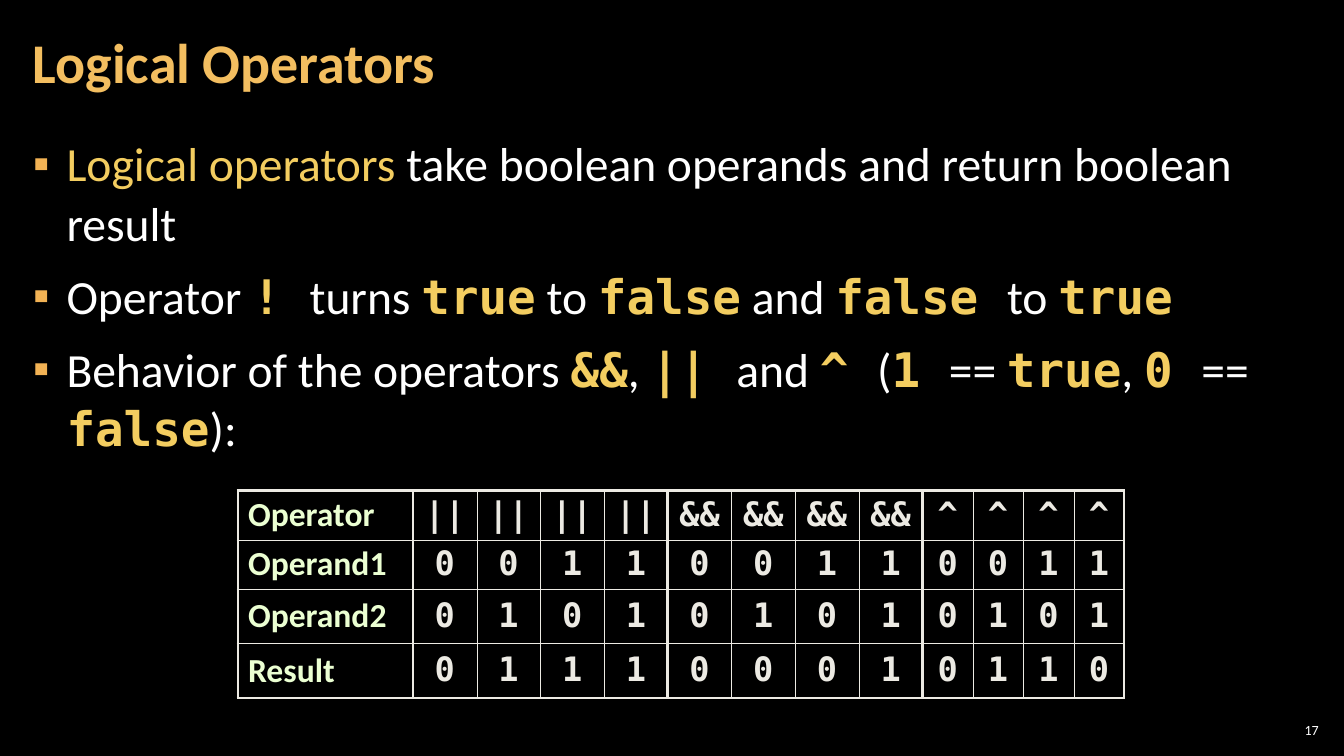
import pptx
import pptx.dml.color
import pptx.enum.text
import pptx.oxml.ns
import pptx.util
from lxml import etree

Pt = pptx.util.Pt
RGBColor = pptx.dml.color.RGBColor
PP_ALIGN = pptx.enum.text.PP_ALIGN
MIDDLE = pptx.enum.text.MSO_ANCHOR.MIDDLE
qn = pptx.oxml.ns.qn

COLORS = {
    "background": "000000",
    "text": "FFFFFF",
    "title": "F3BE60",
    "highlight": "F3CD60",
    "bullet": "F2B254",
    "label": "EBFFD2",
    "grid": "ECEAE3",
}
SANS, MONO = "Calibri", "DejaVu Sans Mono"

# Text between backticks is highlighted in the font named beside it.
BULLETS = [
    (SANS, "`Logical operators `take boolean operands and return boolean result"),
    (MONO, "Operator `! `turns `true` to `false` and `false `to `true`"),
    (MONO, "Behavior of the operators `&&`, `|| `and `^ `(`1 `== `true`, `0 `== `false`):"),
]
TRUTH_TABLE = [
    ["Operator"] + ["||"] * 4 + ["&&"] * 4 + ["^"] * 4,
    ["Operand1", *"0011" * 3],
    ["Operand2", *"0101" * 3],
    ["Result", *"0111", *"0001", *"0110"],
]
COLUMN_WIDTHS = [125] + [45.5] * 8 + [36] * 4
ROW_HEIGHTS = [29, 29, 39, 39]
THIN, THICK = 0.25, 2.25


def set_font(font, name, size, color, bold=False):
    font.name = name
    font.size = Pt(size)
    font.bold = bold
    font.color.rgb = RGBColor.from_string(COLORS[color])


def add_color(parent, color):
    etree.SubElement(parent, qn("a:srgbClr"), val=COLORS[color])


presentation = pptx.Presentation()
presentation.slide_width, presentation.slide_height = Pt(960), Pt(540)
slide = presentation.slides.add_slide(presentation.slide_layouts[1])
slide.background.fill.solid()
slide.background.fill.fore_color.rgb = RGBColor.from_string(COLORS["background"])

title, body = slide.placeholders
number = slide.shapes.add_textbox(Pt(911), Pt(514), Pt(34), Pt(15))
title.left, title.top, title.width, title.height = Pt(15), Pt(3), Pt(754), Pt(87)
body.left, body.top, body.width, body.height = Pt(15), Pt(91), Pt(930), Pt(438)
for shape, side_margin in ((title, 8.5), (body, 8.5), (number, 3)):
    frame = shape.text_frame
    frame.word_wrap = True
    frame.auto_size = pptx.enum.text.MSO_AUTO_SIZE.NONE
    frame.margin_left = frame.margin_right = Pt(side_margin)
    frame.margin_top = frame.margin_bottom = Pt(3)

title.text_frame.text = "Logical Operators"
title.text_frame.vertical_anchor = MIDDLE
paragraph = title.text_frame.paragraphs[0]
paragraph.alignment = PP_ALIGN.LEFT
paragraph.line_spacing = 0.9
set_font(paragraph.font, SANS, 40, "title", bold=True)

number.text_frame.text = "17"
number.text_frame.vertical_anchor = MIDDLE
paragraph = number.text_frame.paragraphs[0]
paragraph.alignment = PP_ALIGN.RIGHT
set_font(paragraph.font, SANS, 10, "text")

for index, (highlight_font, text) in enumerate(BULLETS):
    frame = body.text_frame
    paragraph = frame.add_paragraph() if index else frame.paragraphs[0]
    paragraph.line_spacing = 1.05
    paragraph.space_before, paragraph.space_after = Pt(3), Pt(6)
    properties = paragraph._p.get_or_add_pPr()
    properties.set("marL", str(Pt(24)))
    properties.set("indent", str(-Pt(24)))
    add_color(etree.SubElement(properties, qn("a:buClr")), "bullet")
    etree.SubElement(properties, qn("a:buChar"), char="▪")
    for position, part in enumerate(text.split("`")):
        if not part:
            continue
        run = paragraph.add_run()
        run.text = part
        if position % 2:
            set_font(run.font, highlight_font, 34, "highlight", bold=highlight_font == MONO)
        else:
            set_font(run.font, SANS, 34, "text")

table = slide.shapes.add_table(
    len(ROW_HEIGHTS), len(COLUMN_WIDTHS),
    Pt(170), Pt(350.5), Pt(sum(COLUMN_WIDTHS)), Pt(sum(ROW_HEIGHTS)),
).table
table.first_row = table.horz_banding = False
for column, width in zip(table.columns, COLUMN_WIDTHS):
    column.width = Pt(width)

last_row = len(TRUTH_TABLE) - 1
for row_index, values in enumerate(TRUTH_TABLE):
    table.rows[row_index].height = Pt(ROW_HEIGHTS[row_index])
    for column_index, value in enumerate(values):
        cell = table.cell(row_index, column_index)
        cell.text = value
        cell.vertical_anchor = MIDDLE
        paragraph = cell.text_frame.paragraphs[0]
        paragraph.line_spacing = 0.95
        paragraph.space_before = Pt(0)
        spacing = paragraph._p.pPr.find(qn("a:spcBef"))
        spacing.remove(spacing[0])
        etree.SubElement(spacing, qn("a:spcPct"), val="40000")
        if column_index == 0:
            set_font(paragraph.font, SANS, 24, "label", bold=True)
        else:
            paragraph.alignment = PP_ALIGN.CENTER
            set_font(paragraph.font, MONO, 24, "grid", bold=True)
            cell.margin_left = cell.margin_right = Pt(3)
            cell.margin_top = cell.margin_bottom = Pt(3)

        # Thick lines frame the table and part the label column and operator groups.
        thick_sides = {
            "a:lnL": column_index == 0 or column_index % 4 == 1,
            "a:lnR": column_index % 4 == 0,
            "a:lnT": row_index == 0,
            "a:lnB": row_index == last_row,
        }
        cell_properties = cell._tc.get_or_add_tcPr()
        for side, thick in thick_sides.items():
            line_width = Pt(THICK if thick else THIN)
            line = etree.SubElement(cell_properties, qn(side), w=str(line_width))
            add_color(etree.SubElement(line, qn("a:solidFill")), "grid")
        cell.fill.background()

presentation.save("out.pptx")
